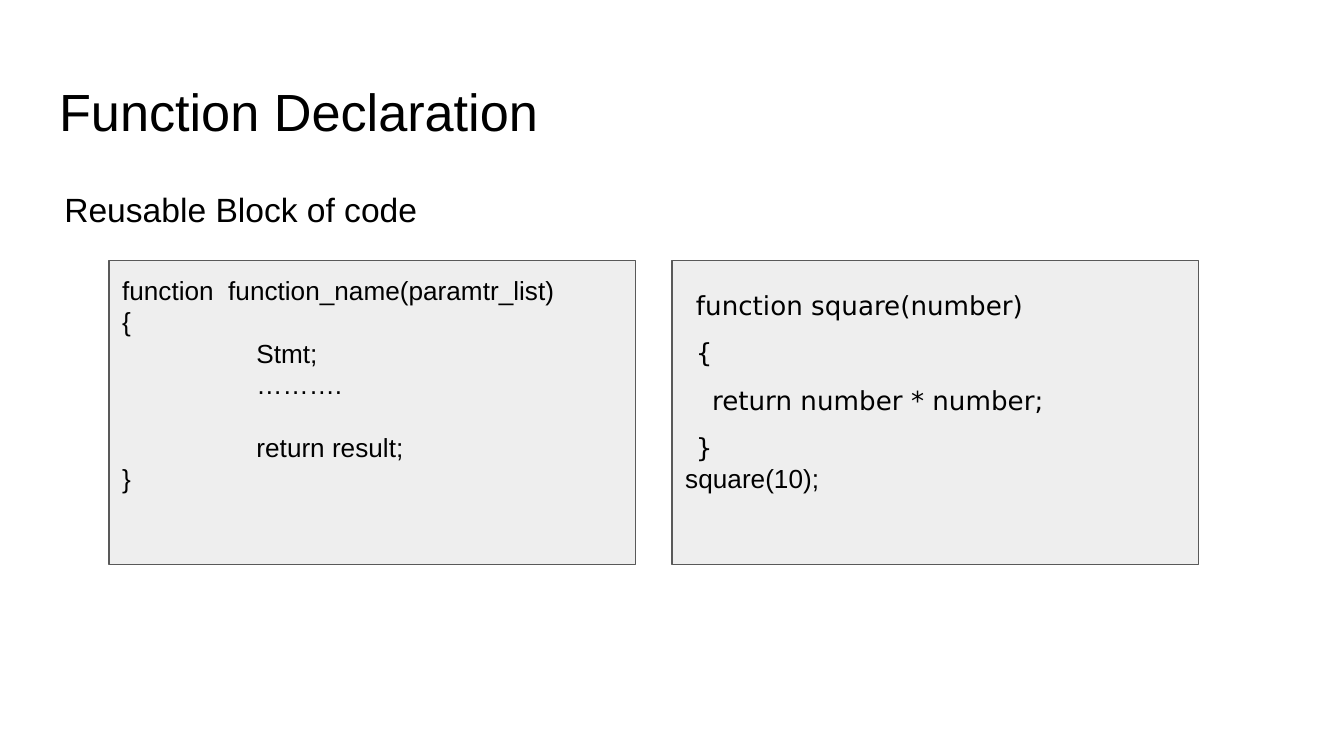
"""Build the Function Declaration slide with its two code boxes."""
from pptx import Presentation
from pptx.dml.color import RGBColor as RGB
from pptx.enum.shapes import MSO_SHAPE as Shape
from pptx.enum.text import MSO_ANCHOR as Anchor, MSO_AUTO_SIZE as AutoSize, PP_ALIGN as Align
from pptx.util import Inches, Pt

COLORS = {"text": "000000", "panel": "EEEEEE", "border": "595959"}


def write_lines(frame, lines, size):
    frame.word_wrap = True
    frame.auto_size = AutoSize.NONE
    frame.vertical_anchor = Anchor.TOP
    frame.margin_left = frame.margin_right = Inches(0.1)
    frame.margin_top = frame.margin_bottom = Inches(0.1)
    for number, (text, font, indent, spacing, before) in enumerate(lines):
        line = frame.paragraphs[0] if number == 0 else frame.add_paragraph()
        line.text = text
        line.alignment = Align.LEFT
        line.line_spacing = spacing
        line.space_before = Pt(before)
        line.font.name = font
        line.font.size = Pt(size)
        line.font.color.rgb = RGB.from_string(COLORS["text"])
        line._p.get_or_add_pPr().set("marL", str(Inches(indent)))
        line._p.get_or_add_pPr().set("indent", "0")


deck = Presentation()
deck.slide_width, deck.slide_height = Inches(10), Inches(10 * 9 / 16)
slide = deck.slides.add_slide(deck.slide_layouts[5])

title = slide.shapes.title
title.left, title.top = Inches(0.34), Inches(0.49)
title.width, title.height = Inches(9.32), Inches(0.63)
write_lines(title.text_frame, [("Function Declaration", "Arial", 0, 1.0, 0)], 28)

summary = slide.shapes.add_textbox(Inches(0.38), Inches(1.26), Inches(9.32), Inches(3.74))
write_lines(summary.text_frame, [("Reusable Block of code", "Arial", 0, 1.15, 0)], 18)

syntax = [
    ("function  function_name(paramtr_list)", "Arial", 0, 1.0, 0),
    ("{", "Arial", 0, 1.0, 0),
    ("Stmt;", "Arial", 1, 1.0, 0),
    ("……….", "Arial", 1, 1.0, 0),
    ("return result;", "Arial", 1, 1.0, 17),
    ("}", "Arial", 0, 1.0, 0),
]
example = [
    ("function square(number)", "DejaVu Sans", 0.08, 1.5, 0),
    ("{", "DejaVu Sans", 0.08, 1.5, 0),
    ("return number * number;", "DejaVu Sans", 0.2, 1.5, 0),
    ("}", "DejaVu Sans", 0.08, 1.5, 0),
    ("square(10);", "Arial", 0, 1.0, 0),
]
for left, code in ((0.81, syntax), (5, example)):
    panel = slide.shapes.add_shape(
        Shape.RECTANGLE, Inches(left), Inches(1.94), Inches(3.92), Inches(2.26))
    panel.shadow.inherit = False
    panel.fill.solid()
    panel.fill.fore_color.rgb = RGB.from_string(COLORS["panel"])
    panel.line.color.rgb = RGB.from_string(COLORS["border"])
    panel.line.width = Pt(0.75)
    write_lines(panel.text_frame, code, 14)

deck.save("out.pptx")
